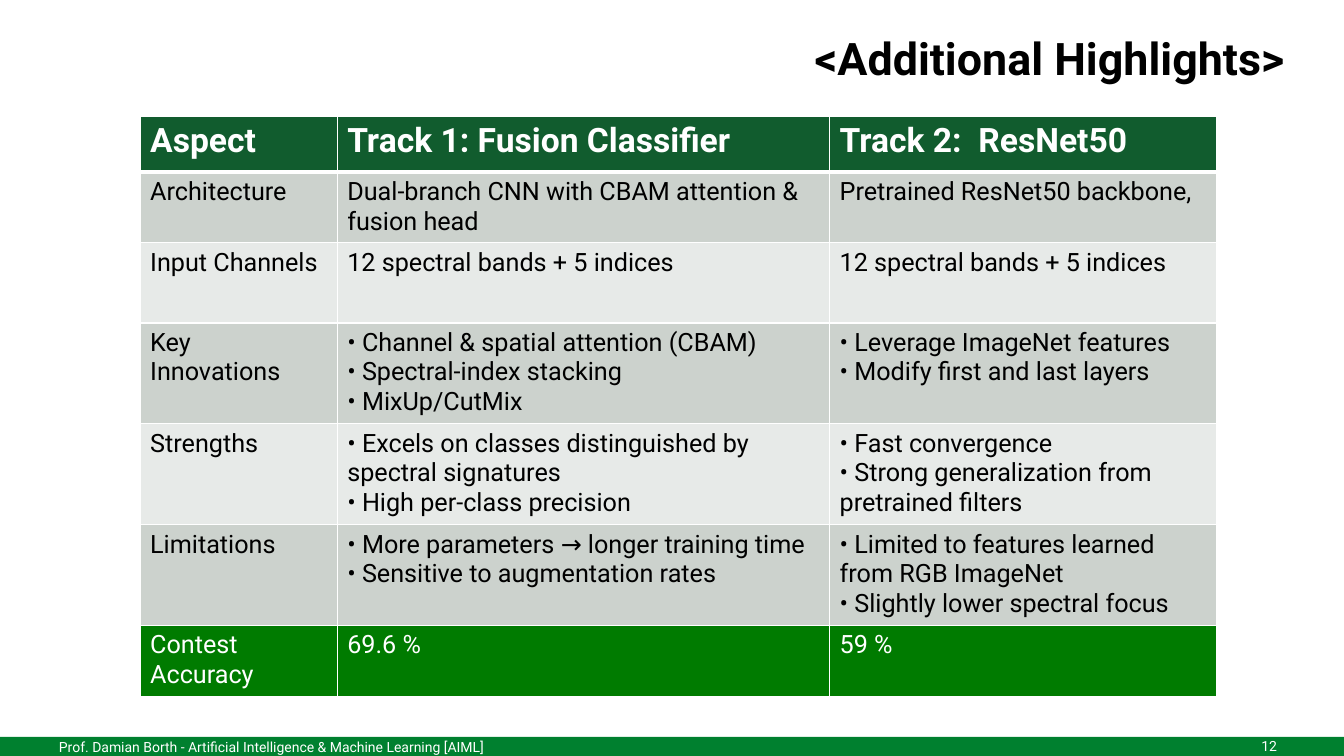
from dataclasses import dataclass

import pptx
import pptx.dml.color
import pptx.enum.shapes
import pptx.enum.text
import pptx.oxml
import pptx.oxml.ns
import pptx.util

RGBColor = pptx.dml.color.RGBColor
PP_ALIGN = pptx.enum.text.PP_ALIGN
MSO_ANCHOR = pptx.enum.text.MSO_ANCHOR

EMU_PER_PX = 9080
FONT = "Roboto"
BLACK = RGBColor(0x00, 0x00, 0x00)
WHITE = RGBColor(0xFF, 0xFF, 0xFF)
FOOTER_GREEN = RGBColor(0x00, 0x80, 0x2F)
HEADER_GREEN = RGBColor(0x11, 0x5C, 0x2E)
SCORE_GREEN = RGBColor(0x00, 0x7B, 0x00)
DARK_BAND = RGBColor(0xCC, 0xD2, 0xCD)
LIGHT_BAND = RGBColor(0xE7, 0xEA, 0xE8)


@dataclass(frozen=True)
class Row:
    height: int
    cells: tuple[str, str, str]
    fill: RGBColor
    color: RGBColor = BLACK
    size: int = 18
    bold: bool = False
    bottom_pt: int = 1


@dataclass(frozen=True)
class Label:
    text: str
    box: tuple[int, int, int, int]
    size: int = 10
    color: RGBColor = WHITE
    bold: bool = False
    align: PP_ALIGN = PP_ALIGN.LEFT
    anchor: MSO_ANCHOR = MSO_ANCHOR.TOP
    inset: bool = True


COLUMN_WIDTHS = (197, 492, 387)
TABLE_LEFT, TABLE_TOP = 140, 116
ROWS = (
    Row(56, ("Aspect", "Track 1: Fusion Classifier", "Track 2:  ResNet50"),
        HEADER_GREEN, WHITE, size=24, bold=True, bottom_pt=3),
    Row(68, ("Architecture",
             "Dual-branch CNN with CBAM attention & fusion head",
             "Pretrained ResNet50 backbone,"), DARK_BAND),
    Row(80, ("Input Channels",
             "12 spectral bands + 5 indices",
             "12 spectral bands + 5 indices"), LIGHT_BAND),
    Row(99, ("Key Innovations",
             "• Channel & spatial attention (CBAM)\n• Spectral-index stacking\n• MixUp/CutMix",
             "• Leverage ImageNet features\n• Modify first and last layers"), DARK_BAND),
    Row(99, ("Strengths",
             "• Excels on classes distinguished by spectral signatures\n• High per-class precision",
             "• Fast convergence\n• Strong generalization from pretrained filters"), LIGHT_BAND),
    Row(99, ("Limitations",
             "• More parameters → longer training time\n• Sensitive to augmentation rates",
             "• Limited to features learned from RGB ImageNet\n• Slightly lower spectral focus"),
        DARK_BAND),
    Row(69, ("Contest Accuracy", "69.6 %", "59 %"), SCORE_GREEN, WHITE),
)
LABELS = (
    Label("<Additional Highlights>", (356, 31, 928, 59), size=32, color=BLACK,
          bold=True, align=PP_ALIGN.RIGHT, inset=False),
    Label("12", (1209, 733, 77, 24), align=PP_ALIGN.RIGHT, anchor=MSO_ANCHOR.MIDDLE),
    Label("Prof. Damian Borth - Artificial Intelligence & Machine Learning [AIML]",
          (49, 733, 600, 22)),
)


def px(n: int) -> pptx.util.Emu:
    return pptx.util.Emu(n * EMU_PER_PX)


def write(tf: pptx.text.text.TextFrame, text: str, *, size: int, color: RGBColor,
          bold: bool = False, align: PP_ALIGN = PP_ALIGN.LEFT) -> None:
    tf.word_wrap = True
    for i, line in enumerate(text.split("\n")):
        p = tf.paragraphs[0] if i == 0 else tf.add_paragraph()
        p.alignment = align
        r = p.add_run()
        r.text = line
        r.font.name = FONT
        r.font.size = pptx.util.Pt(size)
        r.font.bold = bold
        r.font.color.rgb = color


def add_label(s: pptx.slide.Slide, label: Label) -> None:
    tf = s.shapes.add_textbox(*map(px, label.box)).text_frame
    tf.vertical_anchor = label.anchor
    if not label.inset:
        tf.margin_left = tf.margin_top = tf.margin_right = tf.margin_bottom = 0
    write(tf, label.text, size=label.size, color=label.color, bold=label.bold,
          align=label.align)


def add_borders(cell: pptx.table._Cell, top_pt: int, bottom_pt: int) -> None:
    tc_pr = cell._tc.get_or_add_tcPr()
    for side, width in (("L", 1), ("R", 1), ("T", top_pt), ("B", bottom_pt)):
        tc_pr.append(pptx.oxml.parse_xml(
            f'<a:ln{side} {pptx.oxml.ns.nsdecls("a")} w="{pptx.util.Pt(width)}">'
            f'<a:solidFill><a:srgbClr val="{WHITE}"/></a:solidFill></a:ln{side}>'))


def add_comparison(s: pptx.slide.Slide) -> None:
    table = s.shapes.add_table(
        len(ROWS), len(COLUMN_WIDTHS), px(TABLE_LEFT), px(TABLE_TOP),
        px(sum(COLUMN_WIDTHS)), px(sum(row.height for row in ROWS))).table
    for column, width in zip(table.columns, COLUMN_WIDTHS):
        column.width = px(width)
    top_pt = 1
    for i, row in enumerate(ROWS):
        table.rows[i].height = px(row.height)
        for j, text in enumerate(row.cells):
            cell = table.cell(i, j)
            add_borders(cell, top_pt, row.bottom_pt)
            cell.fill.solid()
            cell.fill.fore_color.rgb = row.fill
            write(cell.text_frame, text, size=row.size, color=row.color, bold=row.bold)
        top_pt = row.bottom_pt


def add_footer_bar(s: pptx.slide.Slide) -> None:
    bar = s.shapes.add_shape(pptx.enum.shapes.MSO_SHAPE.RECTANGLE,
                             px(0), px(736), px(1343), px(19))
    bar.shadow.inherit = False
    bar.fill.solid()
    bar.fill.fore_color.rgb = FOOTER_GREEN
    bar.line.fill.background()


def main() -> None:
    prs = pptx.Presentation()
    prs.slide_width, prs.slide_height = px(1343), px(755)
    s = prs.slides.add_slide(prs.slide_layouts[6])
    add_footer_bar(s)
    for label in LABELS:
        add_label(s, label)
    add_comparison(s)
    prs.save("out.pptx")


if __name__ == "__main__":
    main()
